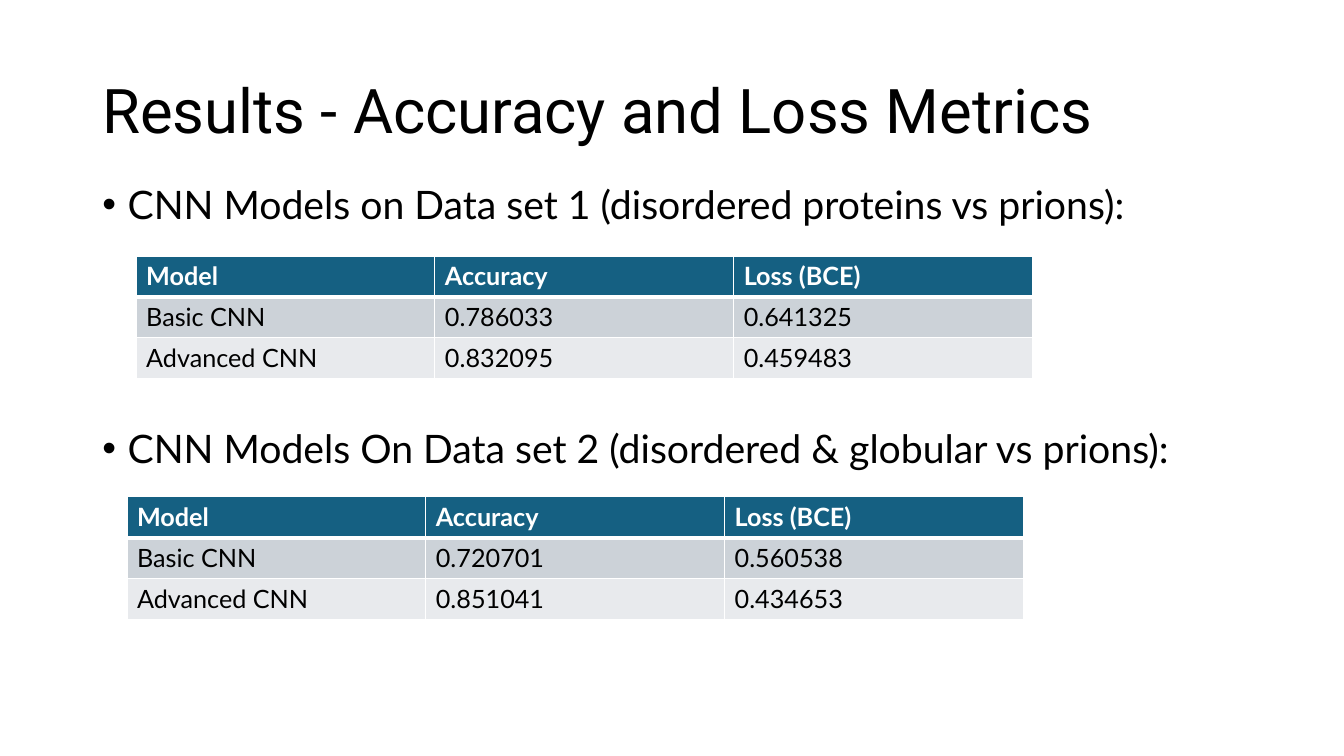
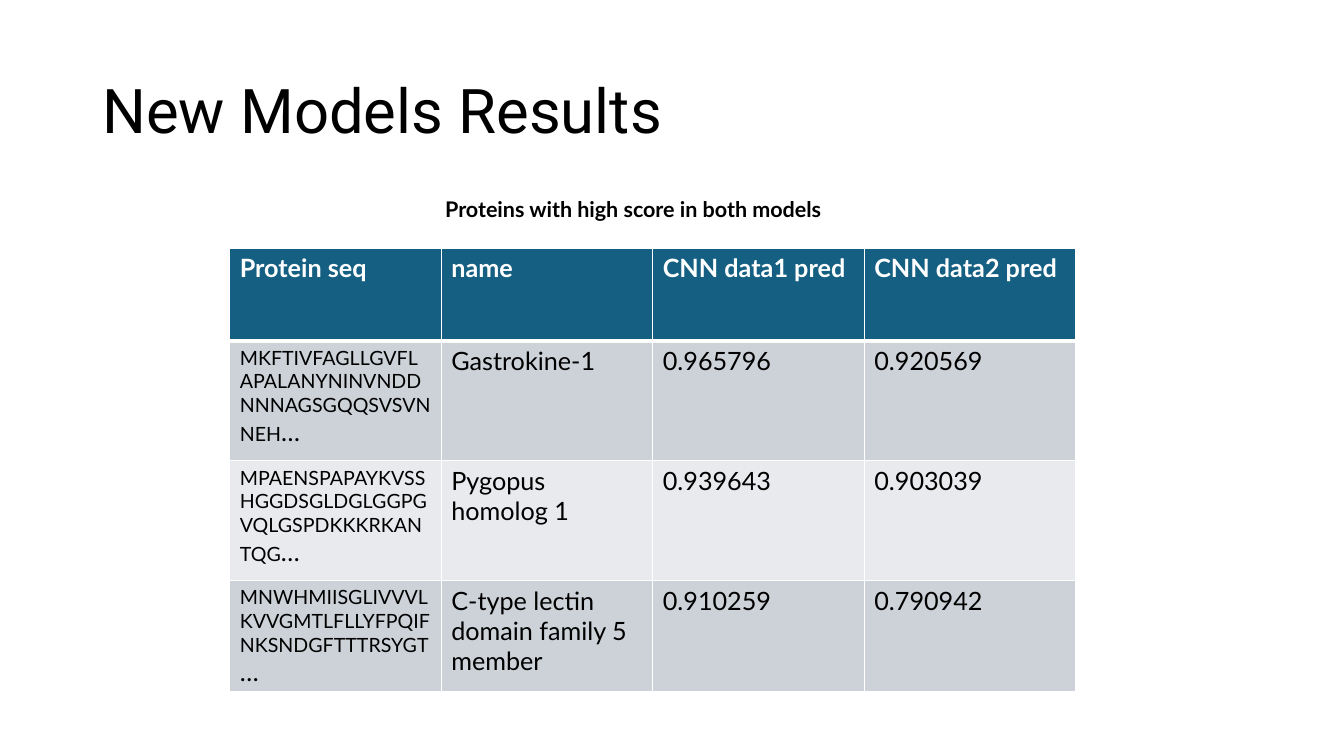
from lxml import etree
from pptx import Presentation
from pptx.dml.color import RGBColor
from pptx.enum.text import MSO_ANCHOR
from pptx.oxml import parse_xml
from pptx.util import Cm, Pt

MIDDLE = MSO_ANCHOR.MIDDLE
HEADING_FONT, BODY_FONT = "Roboto", "Lato"
BLACK, WHITE, HEADER_FILL = "000000", "FFFFFF", "156082"
BAND_FILLS = ("CCD2D8", "E8EAED")
NAMESPACE = "http://schemas.openxmlformats.org/drawingml/2006/main"


def write(paragraph, text, size=18, font=BODY_FONT, color=BLACK, bold=False,
          line_spacing=None, space_before=None):
    """Append a formatted run and set the paragraph's spacing where given."""
    run = paragraph.add_run()
    run.text = text
    run.font.name = font
    run.font.size = Pt(size)
    run.font.bold = bold
    run.font.color.rgb = RGBColor.from_string(color)
    if line_spacing is not None:
        paragraph.line_spacing = line_spacing
    if space_before is not None:
        paragraph.space_before = Pt(space_before)


def add_banded_table(slide, rows, left, top, column_width, row_heights):
    """Add a table with a dark header; text ending in "…" is a long sequence in small type."""
    columns = len(rows[0])
    table = slide.shapes.add_table(
        len(rows), columns, Cm(left), Cm(top),
        Cm(column_width * columns), Cm(sum(row_heights))).table
    for column in table.columns:
        column.width = Cm(column_width)
    for row_index, values in enumerate(rows):
        table.rows[row_index].height = Cm(row_heights[row_index])
        is_header = row_index == 0
        fill = HEADER_FILL if is_header else BAND_FILLS[(row_index - 1) % 2]
        for column_index, value in enumerate(values):
            cell = table.cell(row_index, column_index)
            properties = cell._tc.get_or_add_tcPr()
            for side in "LRTB":
                under_header = (row_index, side) in ((0, "B"), (1, "T"))
                width = Pt(3 if under_header else 1)
                properties.append(parse_xml(
                    f'<a:ln{side} xmlns:a="{NAMESPACE}" w="{width}"><a:solidFill>'
                    f'<a:srgbClr val="{WHITE}"/></a:solidFill></a:ln{side}>'))
            cell.fill.solid()
            cell.fill.fore_color.rgb = RGBColor.from_string(fill)
            paragraph = cell.text_frame.paragraphs[0]
            if value.endswith("…"):
                write(paragraph, value[:-1], size=14)
                write(paragraph, "…")
            else:
                write(paragraph, value, color=WHITE if is_header else BLACK, bold=is_header)


presentation = Presentation()
presentation.slide_width, presentation.slide_height = Cm(33.87), Cm(19.05)
blank_layout = presentation.slide_layouts[6]

# Slides and their titles
slides = []
for title in ("Results - Accuracy and Loss Metrics", "New Models Results"):
    slide = presentation.slides.add_slide(blank_layout)
    title_frame = slide.shapes.add_textbox(Cm(2.33), Cm(1.01), Cm(29.21), Cm(3.68)).text_frame
    title_frame.word_wrap = True
    title_frame.vertical_anchor = MIDDLE
    write(title_frame.paragraphs[0], title, size=44, font=HEADING_FONT, line_spacing=0.9)
    slides.append(slide)
metrics_slide, proteins_slide = slides

# Accuracy and loss: two bullets, each with a table below
body_frame = metrics_slide.shapes.add_textbox(Cm(2.33), Cm(4.55), Cm(29.21), Cm(13.16)).text_frame
body_frame.word_wrap = True
bullets = (
    ("CNN Models on Data set 1 (disordered proteins vs prions):", 0),
    ("CNN Models On Data set 2 (disordered & globular vs prions):", 144),
)
for index, (text, space_before) in enumerate(bullets):
    paragraph = body_frame.add_paragraph() if index else body_frame.paragraphs[0]
    paragraph_properties = paragraph._p.get_or_add_pPr()
    paragraph_properties.set("marL", str(Cm(0.64)))
    paragraph_properties.set("indent", str(-Cm(0.64)))
    bullet_font = etree.SubElement(paragraph_properties, f"{{{NAMESPACE}}}buFont")
    bullet_font.set("typeface", "Arial")
    etree.SubElement(paragraph_properties, f"{{{NAMESPACE}}}buChar").set("char", "•")
    write(paragraph, text, size=28, line_spacing=0.9, space_before=space_before)

metric_tables = (
    (3.43, 6.45, ("0.786033", "0.641325"), ("0.832095", "0.459483")),
    (3.2, 12.52, ("0.720701", "0.560538"), ("0.851041", "0.434653")),
)
for left, top, basic, advanced in metric_tables:
    metric_rows = (
        ("Model", "Accuracy", "Loss (BCE)"),
        ("Basic CNN", *basic),
        ("Advanced CNN", *advanced),
    )
    add_banded_table(metrics_slide, metric_rows, left, top, 7.53, (1.03,) * 3)

# Highest-scoring proteins
protein_rows = (
    ("Protein seq", "name", "CNN data1 pred", "CNN data2 pred"),
    ("MKFTIVFAGLLGVFLAPALANYNINVNDDNNNAGSGQQSVSVNNEH…",
     "Gastrokine-1", "0.965796", "0.920569"),
    ("MPAENSPAPAYKVSSHGGDSGLDGLGGPGVQLGSPDKKKRKANTQG…",
     "Pygopus homolog 1", "0.939643", "0.903039"),
    ("MNWHMIISGLIVVVLKVVGMTLFLLYFPQIFNKSNDGFTTTRSYGT…",
     "C-type lectin domain family 5 member", "0.910259", "0.790942"),
)
add_banded_table(proteins_slide, protein_rows, 5.79, 6.25, 5.33, (2.34, 3.02, 3.02, 2.67))

caption_frame = proteins_slide.shapes.add_textbox(Cm(10.97), Cm(5), Cm(10.44), Cm(1.24)).text_frame
caption_frame.word_wrap = True
write(caption_frame.paragraphs[0], "Proteins with high score in both models",
      size=15.4, bold=True, line_spacing=0.7)

presentation.save("out.pptx")
